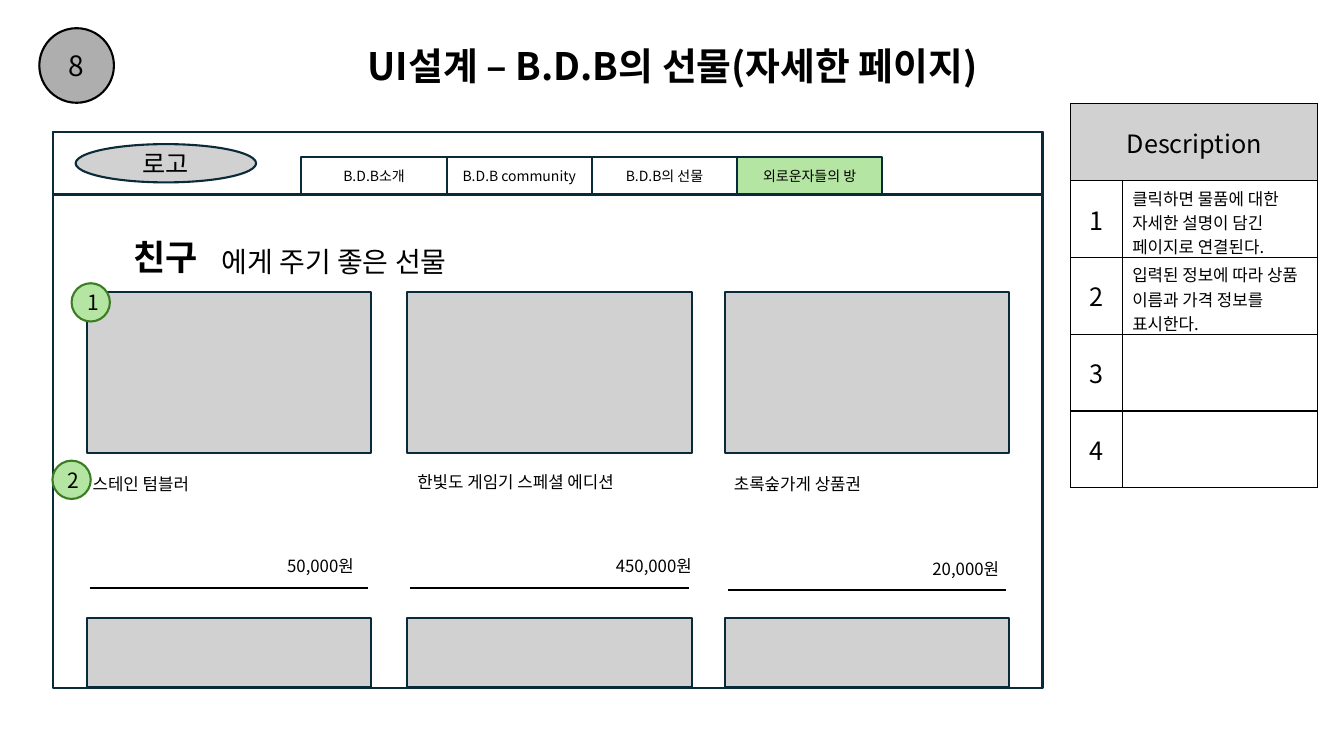
from collections import namedtuple

from lxml.etree import SubElement
from pptx import Presentation
from pptx.dml.color import RGBColor
from pptx.enum.shapes import MSO_CONNECTOR, MSO_SHAPE
from pptx.enum.text import MSO_ANCHOR, PP_ALIGN
from pptx.oxml.ns import qn
from pptx.util import Inches, Pt

FONT = "Noto Sans CJK KR"
BLACK = RGBColor(0x00, 0x00, 0x00)
WHITE = RGBColor(0xFF, 0xFF, 0xFF)
NAVY = RGBColor(0x09, 0x2A, 0x39)
GRAY = RGBColor(0xD1, 0xD1, 0xD1)
DARK_GRAY = RGBColor(0xAE, 0xAE, 0xAE)
LIGHT_GREEN = RGBColor(0xB4, 0xE5, 0xA2)
GREEN = RGBColor(0x3B, 0x7D, 0x23)

Product = namedtuple(
    "Product", "name price card_left name_left name_top price_left price_top line_top")
PRODUCTS = [
    Product("스테인 텀블러", "50,000원", 0.86, 0.82, 4.65, 2.75, 5.46, 5.83),
    Product("한빛도 게임기 스페셜 에디션", "450,000원", 4.04, 4.04, 4.63, 6.01, 5.46, 5.83),
    Product("초록숲가게 상품권", "20,000원", 7.19, 7.18, 4.65, 9.15, 5.49, 5.85),
]
MENU = ["B.D.B소개", "B.D.B community", "B.D.B의 선물", "외로운자들의 방"]
DESCRIPTIONS = [
    "클릭하면 물품에 대한 자세한 설명이 담긴 페이지로 연결된다.",
    "입력된 정보에 따라 상품 이름과 가격 정보를 표시한다.",
    "",
    "",
]


def write_text(text_frame, text, size, align=PP_ALIGN.CENTER, bold=False):
    """Put one formatted paragraph into a text frame."""
    text_frame.text = text
    paragraph = text_frame.paragraphs[0]
    paragraph.alignment = align
    for run in paragraph.runs:
        run.font.name = FONT
        run.font.size = Pt(size)
        run.font.bold = bold
        run.font.color.rgb = BLACK
        SubElement(run.font._element, qn("a:ea"), typeface=FONT)
    return paragraph


def add_text(slide, text, left, top, width, height, size,
             align=PP_ALIGN.LEFT, bold=False):
    """Add a wrapping text box and return it."""
    box = slide.shapes.add_textbox(
        Inches(left), Inches(top), Inches(width), Inches(height))
    box.text_frame.word_wrap = True
    write_text(box.text_frame, text, size, align, bold)
    return box


def add_block(slide, left, top, width, height, fill, text="", size=10,
              kind=MSO_SHAPE.RECTANGLE, line=NAVY):
    """Add an outlined shape with optional centred text."""
    shape = slide.shapes.add_shape(
        kind, Inches(left), Inches(top), Inches(width), Inches(height))
    shape.shadow.inherit = False
    shape.fill.solid()
    shape.fill.fore_color.rgb = fill
    shape.line.color.rgb = line
    shape.line.width = Pt(1.5)
    if text:
        shape.text_frame.vertical_anchor = MSO_ANCHOR.MIDDLE
        write_text(shape.text_frame, text, size)


def add_badge(slide, text, left, top, diameter=0.38, size=15,
              fill=LIGHT_GREEN, line=GREEN):
    """Add a numbered circle."""
    add_block(slide, left, top, diameter, diameter, fill, text, size,
              MSO_SHAPE.OVAL, line)


def add_rule(slide, left, top, width):
    """Add a horizontal black line."""
    connector = slide.shapes.add_connector(
        MSO_CONNECTOR.STRAIGHT, Inches(left), Inches(top),
        Inches(left + width), Inches(top))
    connector.line.color.rgb = BLACK
    connector.line.width = Pt(1.5)
    SubElement(connector._element.spPr, qn("a:effectLst"))


def add_product(slide, product):
    """Add a product card with its name, price and rule, and the card below."""
    add_block(slide, product.card_left, 2.9, 2.82, 1.59, GRAY)
    add_text(slide, product.name, product.name_left, product.name_top, 2.82, 0.3, 12)
    add_text(slide, product.price, product.price_left, product.price_top, 1.03, 0.3, 12)
    add_rule(slide, product.card_left + 0.03, product.line_top, 2.76)
    add_block(slide, product.card_left, 6.13, 2.82, 0.69, GRAY)


def style_cell(cell, fill):
    """Give a table cell its borders and fill."""
    properties = cell._tc.get_or_add_tcPr()
    for side in ("lnL", "lnR", "lnT", "lnB"):
        border = SubElement(properties, qn(f"a:{side}"), w=str(Pt(1)))
        color = SubElement(border, qn("a:solidFill"))
        SubElement(color, qn("a:srgbClr"), val=str(BLACK))
    cell.fill.solid()
    cell.fill.fore_color.rgb = fill


def add_description_table(slide):
    """Add the numbered description table."""
    row_count = len(DESCRIPTIONS) + 1
    table = slide.shapes.add_table(
        row_count, 2, Inches(10.62), Inches(1.03),
        Inches(2.45), Inches(0.762 * row_count)).table
    table.columns[0].width = Inches(0.51)
    table.columns[1].width = Inches(1.94)
    for index, row in enumerate(table.rows):
        for cell in row.cells:
            style_cell(cell, WHITE if index else GRAY)
    header = table.cell(0, 0)
    header.merge(table.cell(0, 1))
    header.vertical_anchor = MSO_ANCHOR.MIDDLE
    write_text(header.text_frame, "Description", 18)
    for number, description in enumerate(DESCRIPTIONS, start=1):
        number_cell, text_cell = table.rows[number].cells
        number_cell.vertical_anchor = MSO_ANCHOR.MIDDLE
        write_text(number_cell.text_frame, str(number), 18)
        text_cell.margin_bottom = 0
        write_text(text_cell.text_frame, description, 12, PP_ALIGN.LEFT)


def main():
    """Build the gift detail page slide."""
    presentation = Presentation()
    presentation.slide_width = Inches(13.33)
    presentation.slide_height = Inches(7.5)
    slide = presentation.slides.add_slide(presentation.slide_layouts[6])

    title = add_text(slide, "UI설계 – B.D.B의 선물(자세한 페이지)",
                     3.15, 0.33, 7.04, 0.69, 27, PP_ALIGN.CENTER, True)
    title.text_frame.vertical_anchor = MSO_ANCHOR.MIDDLE
    title.text_frame.paragraphs[0].line_spacing = 0.9

    add_block(slide, 0.53, 1.31, 9.81, 5.52, WHITE)
    add_block(slide, 0.53, 1.31, 9.81, 0.62, WHITE)
    add_block(slide, 0.75, 1.43, 1.79, 0.38, GRAY, "로고", 18, MSO_SHAPE.OVAL)
    for index, label in enumerate(MENU):
        fill = LIGHT_GREEN if label == MENU[-1] else WHITE
        add_block(slide, 2.99 + 1.44 * index, 1.56, 1.44, 0.37, fill, label)

    add_text(slide, "친구", 1, 2.29, 1.28, 0.52, 25, PP_ALIGN.CENTER, True)
    add_text(slide, "에게 주기 좋은 선물", 1.48, 2.38, 3.67, 0.44, 20, PP_ALIGN.CENTER)
    for product in PRODUCTS:
        add_product(slide, product)

    add_badge(slide, "8", 0.39, 0.28, 0.74, 20, DARK_GRAY, BLACK)
    add_badge(slide, "1", 0.71, 2.81)
    add_badge(slide, "2", 0.52, 4.57)
    add_description_table(slide)
    presentation.save("out.pptx")


if __name__ == "__main__":
    main()
